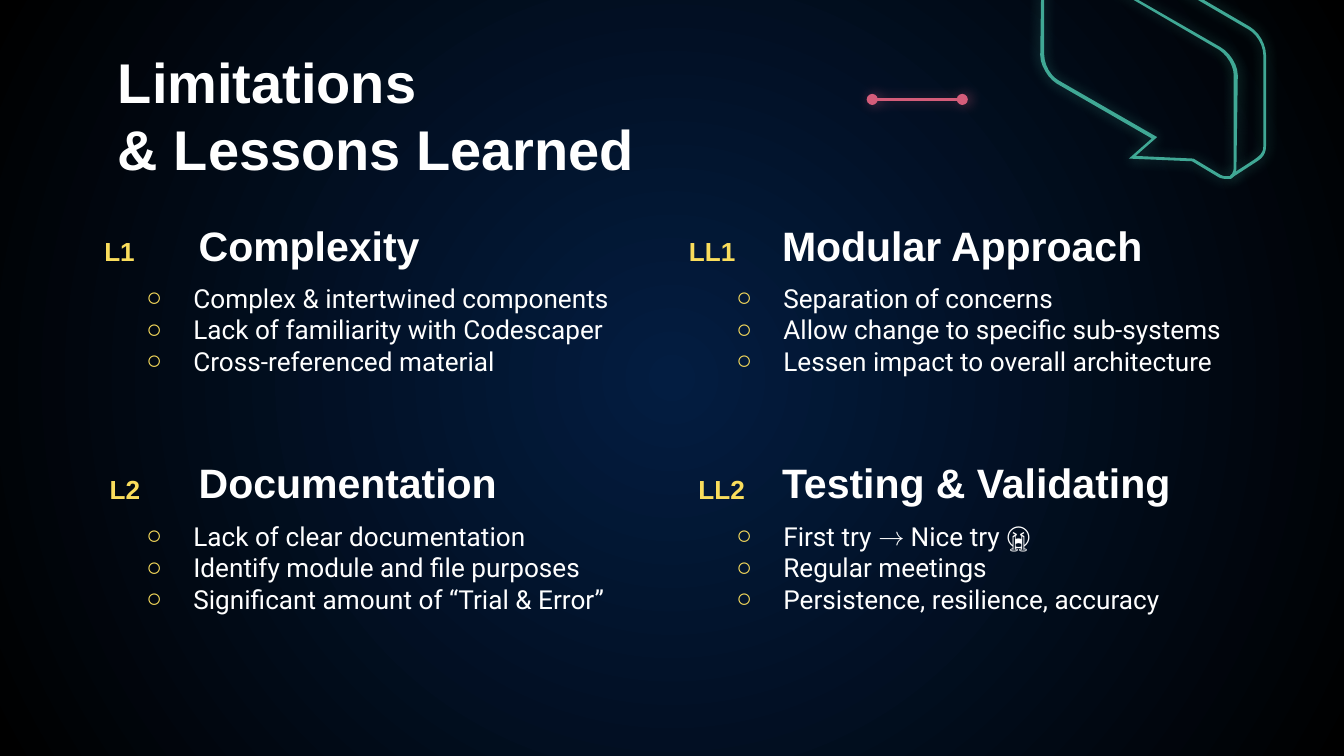
import pptx
import pptx.dml.color
import pptx.enum.shapes
import pptx.enum.text
import pptx.oxml.ns
import pptx.util
from lxml import etree

Inches = pptx.util.Inches
Pt = pptx.util.Pt
RGBColor = pptx.dml.color.RGBColor
ANCHOR = pptx.enum.text.MSO_ANCHOR
qn = pptx.oxml.ns.qn

NAVY = RGBColor(0x03, 0x1D, 0x41)
BLACK = RGBColor(0x00, 0x00, 0x00)
WHITE = RGBColor(0xFF, 0xFF, 0xFF)
YELLOW = RGBColor(0xFA, 0xDD, 0x5C)
TEAL = RGBColor(0x40, 0xA8, 0x95)
PINK = RGBColor(0xD5, 0x5D, 0x7A)

ROW_TOPS = (1.64, 3.41)
LIMITATIONS = (
    ("L1", 0.54, "Complexity", ("Complex & intertwined components",
     "Lack of familiarity with Codescaper", "Cross-referenced material")),
    ("L2", 0.62, "Documentation", ("Lack of clear documentation",
     "Identify module and file purposes", "Significant amount of “Trial & Error”")),
)
LESSONS = (
    ("LL1", 0.56, "Modular Approach", ("Separation of concerns",
     "Allow change to specific sub-systems", "Lessen impact to overall architecture")),
    ("LL2", 0.7, "Testing & Validating", ("First try → Nice try 😭",
     "Regular meetings", "Persistence, resilience, accuracy")),
)

BUBBLE_FRONT = (
    ((0.08, 0.18), (0.09, 0.18, 0.11, 0.18, 0.13, 0.19), (1.33, 0.89),
     (1.39, 0.93, 1.44, 1.01, 1.44, 1.08), (1.44, 1.76), (1.44, 1.79, 1.43, 1.82, 1.41, 1.83),
     (1.39, 1.83), (1.37, 1.83, 1.36, 1.83, 1.34, 1.82), (1.14, 1.7), (0.71, 1.68),
     (0.87, 1.54), (0.14, 1.12), (0.08, 1.09, 0.03, 1, 0.03, 0.93),
     (0.03, 0.25), (0.03, 0.22, 0.04, 0.2, 0.06, 0.19)),
    ((0.08, 0.16), (0.07, 0.16, 0.06, 0.16, 0.05, 0.17), (0.02, 0.18, 0.01, 0.21, 0.01, 0.25),
     (0, 0.93), (0, 1.01, 0.06, 1.1, 0.12, 1.14), (0.83, 1.55), (0.66, 1.7), (1.13, 1.72),
     (1.33, 1.84), (1.35, 1.85, 1.37, 1.85, 1.39, 1.85), (1.42, 1.85),
     (1.45, 1.83, 1.46, 1.8, 1.46, 1.76), (1.47, 1.08), (1.47, 1, 1.41, 0.91, 1.34, 0.87),
     (0.14, 0.18), (0.12, 0.16, 0.1, 0.16, 0.08, 0.16)),
)
BUBBLE_SIDE = (
    ((0.3, 0), (0.27, 0, 0.25, 0.02, 0.22, 0.04), (0.2, 0.06), (0.04, 0.17), (0.05, 0.19),
     (0.06, 0.19), (0.21, 0.08), (0.23, 0.06), (0.26, 0.04, 0.28, 0.03, 0.3, 0.03),
     (0.32, 0.03, 0.33, 0.03, 0.35, 0.04), (1.55, 0.74), (1.61, 0.77, 1.66, 0.86, 1.66, 0.93),
     (1.66, 1.61), (1.66, 1.66, 1.63, 1.68, 1.59, 1.71), (1.42, 1.82),
     (1.41, 1.83, 1.41, 1.84, 1.43, 1.84), (1.6, 1.73), (1.65, 1.7, 1.68, 1.67, 1.68, 1.61),
     (1.68, 0.93), (1.68, 0.85, 1.63, 0.76, 1.56, 0.72), (0.36, 0.02),
     (0.34, 0.01, 0.32, 0, 0.3, 0)),
)


def paint_background(slide):
    """Fill the slide with a circular gradient from navy to black."""
    fill = slide.background.fill
    fill.gradient()
    for stop, color in zip(fill.gradient_stops, (NAVY, BLACK)):
        stop.color.rgb = color
    gradient = slide.element.find(".//" + qn("a:gradFill"))
    gradient.remove(gradient.find(qn("a:lin")))
    circle = etree.SubElement(gradient, qn("a:path"), {"path": "circle"})
    etree.SubElement(circle, qn("a:fillToRect"), dict.fromkeys("ltrb", "50000"))


def add_glow(effects, color, distance=0):
    """Add a soft half-transparent shadow to an effect list."""
    shadow = etree.SubElement(effects, qn("a:outerShdw"), blurRad=str(Pt(6.8)),
                              dist=str(Pt(distance)), dir="0")
    tint = etree.SubElement(shadow, qn("a:srgbClr"), val=str(color))
    etree.SubElement(tint, qn("a:alpha"), val="50000")


def add_text(slide, box, lines, size, font="Arial", color=WHITE, bold=True, inset=0.1,
             anchor=ANCHOR.MIDDLE, wrap=True):
    """Place lines of text in a box and return their paragraphs."""
    frame = slide.shapes.add_textbox(*map(Inches, box)).text_frame
    frame.word_wrap = wrap
    frame.vertical_anchor = anchor
    frame.margin_left = frame.margin_right = Inches(0.1)
    frame.margin_top = frame.margin_bottom = Inches(inset)
    for index, line in enumerate(lines):
        paragraph = frame.add_paragraph() if index else frame.paragraphs[0]
        run = paragraph.add_run()
        run.text = line
        run.font.size = Pt(size)
        run.font.name = font
        run.font.bold = bold
        run.font.color.rgb = color
    return frame.paragraphs


def add_topics(slide, left, heading_left, list_left, list_width, topics):
    """Place a column of topics, each a tag, a heading and bulleted points."""
    for top, (tag, tag_width, heading, points) in zip(ROW_TOPS, topics):
        add_text(slide, (heading_left, top, 3.59, 0.36), (heading,), 22)
        bullets = add_text(slide, (list_left, top + 0.36, list_width, 0.89), points, 14,
                           "Roboto", bold=False, anchor=ANCHOR.TOP)
        for point in bullets:
            properties = point._p.get_or_add_pPr()
            properties.set("marL", str(Inches(0.5)))
            properties.set("indent", str(Inches(-0.35)))
            bullet_color = etree.SubElement(properties, qn("a:buClr"))
            etree.SubElement(bullet_color, qn("a:srgbClr"), val=str(YELLOW))
            etree.SubElement(properties, qn("a:buFont"), typeface="Arial")
            etree.SubElement(properties, qn("a:buChar"), char="○")
        label = add_text(slide, (left, top + 0.06, tag_width, 0.24), (tag,), 14,
                         color=YELLOW, inset=0.05, anchor=ANCHOR.TOP, wrap=False)
        label[0].alignment = pptx.enum.text.PP_ALIGN.CENTER


def trace(contour, steps=6):
    """Turn points and cubic curves into points in thousandths of an inch."""
    points = [contour[0]]
    for segment in contour[1:]:
        if len(segment) == 2:
            points.append(segment)
            continue
        controls = (points[-1], segment[:2], segment[2:4], segment[4:])
        for t in (step / steps for step in range(1, steps + 1)):
            weights = ((1 - t) ** 3, 3 * t * (1 - t) ** 2, 3 * t * t * (1 - t), t ** 3)
            points.append(tuple(sum(weight * control[axis] for weight, control
                                    in zip(weights, controls)) for axis in (0, 1)))
    return [(x * 1000, y * 1000) for x, y in points]


def add_bubble(slide, left, top):
    """Draw the glowing speech bubble from its front and side bands."""
    for band in (BUBBLE_FRONT, BUBBLE_SIDE):
        contours = [trace(contour) for contour in band]
        builder = slide.shapes.build_freeform(*contours[0][0], scale=Inches(1) / 1000)
        for index, contour in enumerate(contours):
            if index:
                builder.move_to(*contour[0])
            builder.add_line_segments(contour[1:], close=True)
        outline = builder.convert_to_shape(Inches(left), Inches(top))
        outline.fill.solid()
        outline.fill.fore_color.rgb = TEAL
        outline.line.fill.background()
        outline.shadow.inherit = False
        add_glow(outline._element.spPr.find(qn("a:effectLst")), TEAL)


def add_accent(slide, left, top, width):
    """Draw the glowing pink line with round ends."""
    accent = slide.shapes.add_connector(pptx.enum.shapes.MSO_CONNECTOR.STRAIGHT,
                                        *map(Inches, (left, top, left + width, top)))
    accent.line.color.rgb = PINK
    accent.line.width = Pt(1.5)
    for end in ("a:headEnd", "a:tailEnd"):
        etree.SubElement(accent.line._get_or_add_ln(), qn(end), type="oval")
    add_glow(etree.SubElement(accent._element.spPr, qn("a:effectLst")), PINK, 1.5)


def main():
    """Build and save the slide."""
    deck = pptx.Presentation()
    deck.slide_width = Inches(10)
    deck.slide_height = deck.slide_width * 9 // 16
    slide = deck.slides.add_slide(deck.slide_layouts[6])
    paint_background(slide)
    add_topics(slide, 0.62, 1.38, 0.84, 4.12, LIMITATIONS)
    add_topics(slide, 5.02, 5.72, 5.23, 4.08, LESSONS)
    add_text(slide, (0.78, 0.59, 8.44, 0.52), ("Limitations", "& Lessons Learned"), 30)
    add_bubble(slide, 7.74, -0.52)
    add_accent(slide, 6.49, 0.74, 0.67)
    deck.save("out.pptx")


if __name__ == "__main__":
    main()
